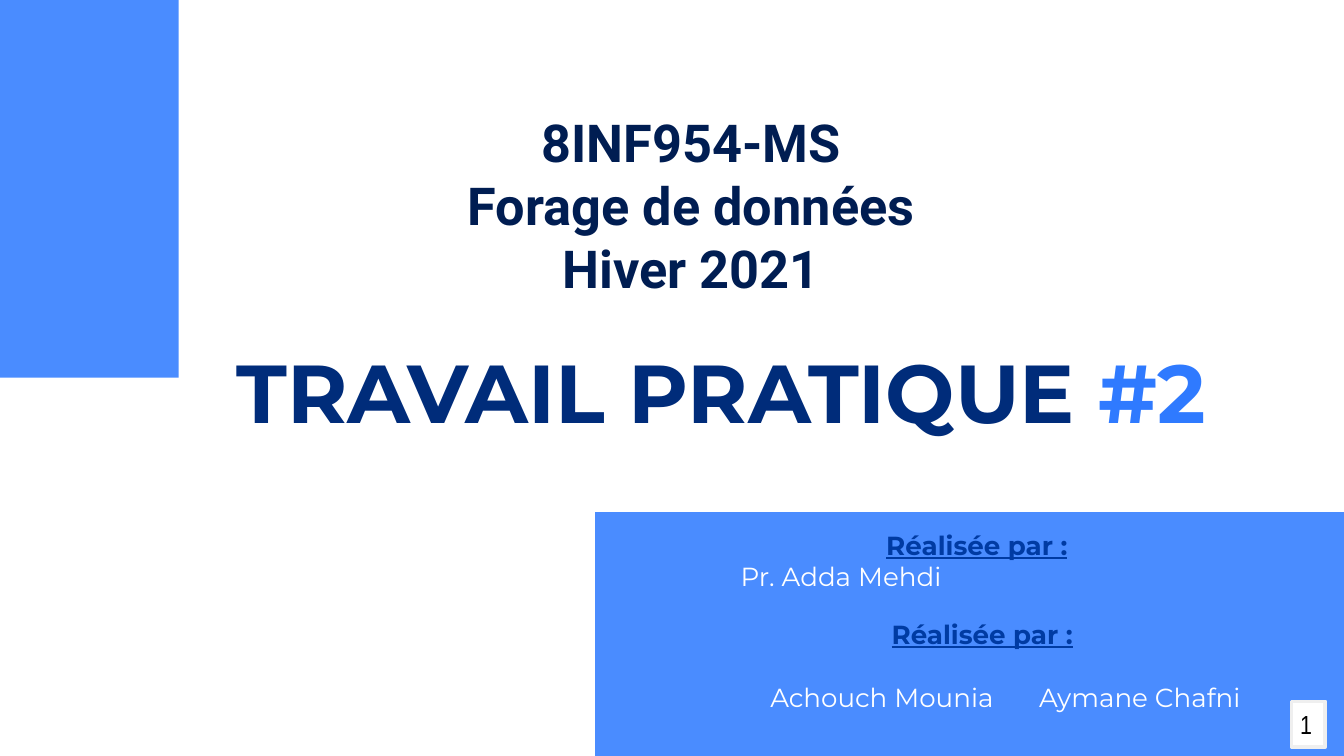
from pptx import Presentation
from pptx import util as u
from pptx.dml import color
from pptx.enum import shapes, text

THEME = {
    "blue": "4A8CFF", "accent": "2F7AFF", "navy": "002C7A", "ink": "001D52",
    "label": "003BA3", "white": "FFFFFF", "black": "000000", "edge": "EFEFEF",
    "title": 44, "course": 28, "body": 14,
    "display": "Montserrat", "plain": "Roboto", "narrow": "Arial Narrow",
}
LEFT, CENTER, RIGHT = text.PP_ALIGN.LEFT, text.PP_ALIGN.CENTER, text.PP_ALIGN.RIGHT


def rgb(name):
    return color.RGBColor.from_string(THEME[name])


def add_run(p, words, size, font, fill, bold=False, underline=False):
    r = p.add_run()
    r.text = words
    r.font.size = u.Pt(THEME[size])
    r.font.name = THEME[font]
    r.font.color.rgb = rgb(fill)
    r.font.bold = bold
    r.font.underline = underline


prs = Presentation()
prs.slide_width, prs.slide_height = u.Cm(25.4), u.Cm(14.29)
s = prs.slides.add_slide(prs.slide_layouts[6])

for box, fill, edge in [
    ((0, 0, 3.38, 7.14), "blue", None),
    ((11.25, 9.68, 14.15, 4.61), "blue", None),
    ((24.41, 13.26, 0.64, 0.86), "white", "edge"),
]:
    sp = s.shapes.add_shape(shapes.MSO_SHAPE.RECTANGLE, *map(u.Cm, box))
    sp.shadow.inherit = False
    sp.fill.solid()
    sp.fill.fore_color.rgb = rgb(fill)
    if edge:
        sp.line.color.rgb = rgb(edge)
        sp.line.width = u.Pt(2)
    else:
        sp.line.fill.background()

tf = sp.text_frame
tf.word_wrap = False
tf.vertical_anchor = text.MSO_ANCHOR.MIDDLE
p = tf.paragraphs[0]
p.alignment = RIGHT
add_run(p, "1", "body", "narrow", "black")

title = [("TRAVAIL PRATIQUE ", "title", "display", "navy", True),
         ("#2", "title", "display", "accent", True)]
course = [(CENTER, 0, 0, [(line, "course", "plain", "ink", True)])
          for line in ("8INF954-MS", "Forage de données", "Hiver 2021")]
label = [("Réalisée par\u00a0:", "body", "display", "label", True, True)]
teacher = [("Pr. Adda Mehdi", "body", "display", "white")]
students = [("Achouch Mounia\tAymane Chafni", "body", "display", "white")]

for box, inset, anchor, lines in [
    ((4.22, 5.94, 19.23, 2.62), 0.25, text.MSO_ANCHOR.BOTTOM, [(LEFT, 0, 0, title)]),
    ((6.71, 1.96, 12.7, 3.84), 0.13, text.MSO_ANCHOR.TOP, course),
    ((12.95, 9.75, 10.72, 1.55), 0.25, text.MSO_ANCHOR.TOP,
     [(LEFT, 3.55, 0, label), (LEFT, 0.8, 0, teacher)]),
    ((12.9, 11.43, 10.8, 1.55), 0.25, text.MSO_ANCHOR.TOP,
     [(LEFT, 3.7, 0, label), (RIGHT, 0.2, 17, students)]),
]:
    tf = s.shapes.add_textbox(*map(u.Cm, box)).text_frame
    tf.word_wrap = True
    tf.vertical_anchor = anchor
    tf.margin_top = tf.margin_bottom = u.Cm(inset)
    for i, (align, indent, before, runs) in enumerate(lines):
        p = tf.add_paragraph() if i else tf.paragraphs[0]
        p.alignment = align
        p.space_before = u.Pt(before)
        p._p.get_or_add_pPr().set("marL", str(u.Cm(indent)))
        for run in runs:
            add_run(p, *run)

prs.save("out.pptx")
